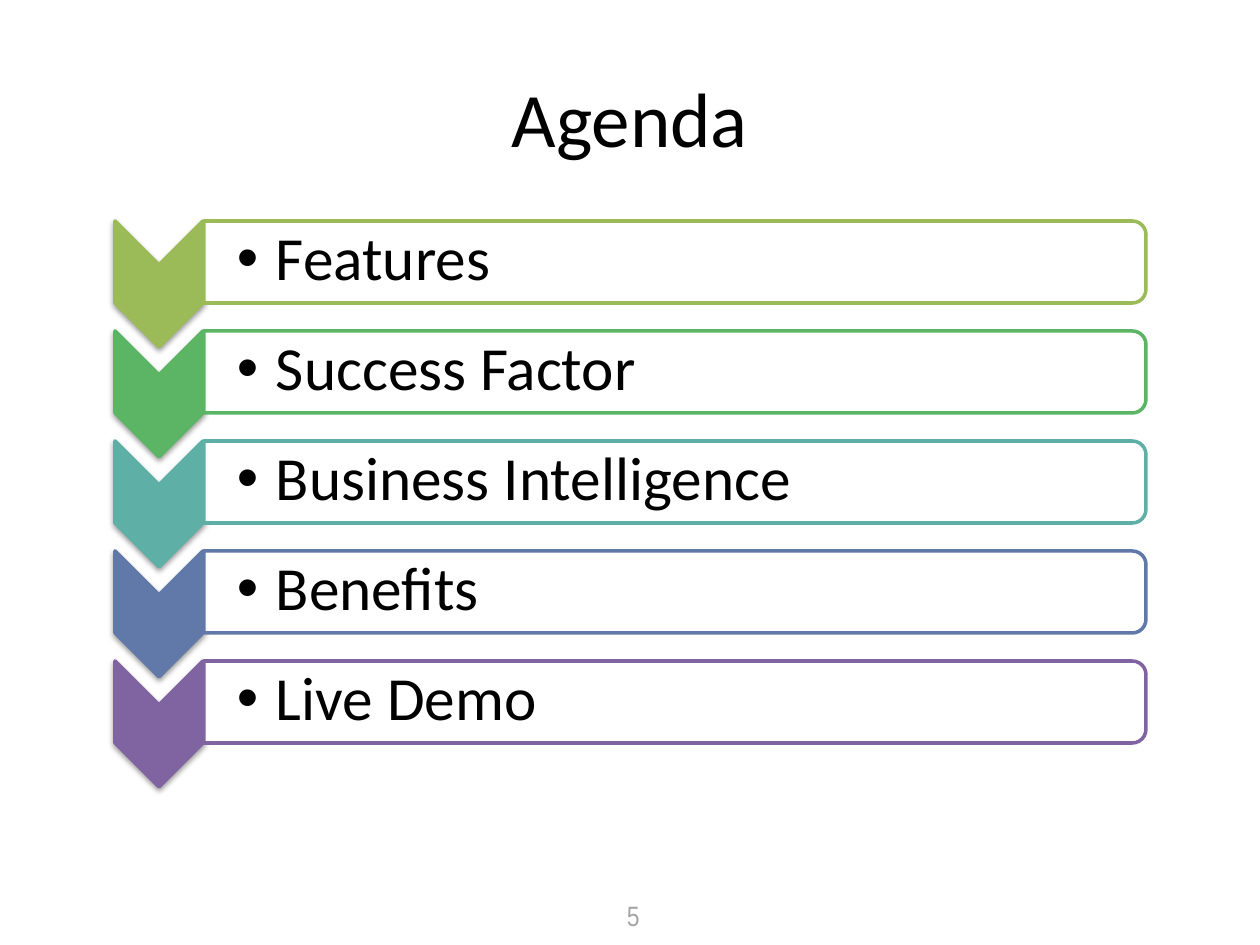
"""Build an agenda slide: five coloured chevrons, each leading into a bulleted bar."""
from dataclasses import dataclass

from lxml import etree
from pptx import Presentation
from pptx.dml.color import RGBColor
from pptx.enum.shapes import MSO_SHAPE
from pptx.enum.text import MSO_ANCHOR, PP_ALIGN
from pptx.oxml.ns import qn
from pptx.util import Emu, Pt

CHEVRON, BAR = MSO_SHAPE.CHEVRON, MSO_SHAPE.ROUND_2_SAME_RECTANGLE
TOP, MIDDLE = MSO_ANCHOR.TOP, MSO_ANCHOR.MIDDLE
LEFT, CENTER = PP_ALIGN.LEFT, PP_ALIGN.CENTER

TITLE = "Agenda"
PAGE_NUMBER = " 5"
TOPICS = [
    ("Features", "9BBB59"),
    ("Success Factor", "5CB565"),
    ("Business Intelligence", "5EAFA6"),
    ("Benefits", "6179A8"),
    ("Live Demo", "8064A2"),
]


@dataclass(frozen=True)
class Theme:
    ink: str = "000000"
    paper: str = "FFFFFF"
    muted: str = "A6A6A6"
    body_font: str = "Calibri"
    number_font: str = "Arial Narrow"
    title_size: int = 44
    topic_size: int = 35
    number_size: int = 16
    outline: int = 2


THEME = Theme()
EMU_PER_PX = 914400 // 126
SLIDE_SIZE = (1260, 945)
TITLE_BOX = (63, 38, 1134, 158)
NUMBER_BOX = (0, 892, 1260, 47)
CHEVRON_CENTER, CHEVRON_SIZE = (159, 284), (126, 88)
BAR_CENTER, BAR_SIZE = (675, 262), (82, 942)
TOPIC_BOX = (203, 224, 939, 74)
ROW_PITCH = 110
TOPIC_INSETS = (34, 3, 3, 3)
BULLET_INDENT = 39


def px(length):
    return Emu(length * EMU_PER_PX)


def add_text(slide, box, text, font, size, color, align=CENTER, anchor=TOP):
    frame = slide.shapes.add_textbox(*map(px, box)).text_frame
    frame.word_wrap, frame.vertical_anchor = True, anchor
    paragraph = frame.paragraphs[0]
    paragraph.alignment = align
    run = paragraph.add_run()
    run.text = text
    for name, value in {"name": font, "size": Pt(size)}.items():
        setattr(run.font, name, value)
    run.font.color.rgb = RGBColor.from_string(color)
    return frame


def add_turned_shape(slide, kind, center, size, fill, line):
    (x, y), (width, height) = center, size
    box = (x - width // 2, y - height // 2, width, height)
    shape = slide.shapes.add_shape(kind, *map(px, box))
    shape.rotation = 90
    shape.shadow.inherit = False
    shape.fill.solid()
    shape.fill.fore_color.rgb = RGBColor.from_string(fill)
    shape.line.color.rgb = RGBColor.from_string(line)
    shape.line.width = Pt(THEME.outline)
    return shape


def set_alpha(color, percent):
    etree.SubElement(color, qn("a:alpha"), val=str(percent * 1000))


def add_shadow(shape):
    effects = shape._element.spPr.find(qn("a:effectLst"))
    shadow = etree.SubElement(effects, qn("a:outerShdw"), blurRad="40000",
                              dist="20000", dir="5400000", rotWithShape="0")
    set_alpha(etree.SubElement(shadow, qn("a:srgbClr"), val=THEME.ink), 38)


def add_bullet(frame):
    paragraph = frame.paragraphs[0]
    paragraph.line_spacing, paragraph.space_after = 0.9, Pt(5)
    properties = paragraph._p.get_or_add_pPr()
    properties.set("marL", str(px(BULLET_INDENT)))
    properties.set("indent", str(-px(BULLET_INDENT)))
    etree.SubElement(properties, qn("a:buFont"), typeface="Arial")
    etree.SubElement(properties, qn("a:buChar"), char="•")


def add_topic(slide, row, topic, color):
    drop = row * ROW_PITCH

    def lowered(point):
        return point[0], point[1] + drop

    chevron = add_turned_shape(slide, CHEVRON, lowered(CHEVRON_CENTER),
                               CHEVRON_SIZE, color, color)
    add_shadow(chevron)
    bar = add_turned_shape(slide, BAR, lowered(BAR_CENTER), BAR_SIZE,
                           THEME.paper, color)
    bar_fill = bar._element.spPr.find(qn("a:solidFill"))
    set_alpha(bar_fill.find(qn("a:srgbClr")), 90)
    frame = add_text(slide, (*lowered(TOPIC_BOX), *TOPIC_BOX[2:]), topic,
                     THEME.body_font, THEME.topic_size, THEME.ink, LEFT, MIDDLE)
    for side, inset in zip(("left", "top", "right", "bottom"), TOPIC_INSETS):
        setattr(frame, f"margin_{side}", px(inset))
    add_bullet(frame)


def main():
    deck = Presentation()
    deck.slide_width, deck.slide_height = map(px, SLIDE_SIZE)
    slide = deck.slides.add_slide(deck.slide_layouts[6])
    add_text(slide, TITLE_BOX, TITLE, THEME.body_font, THEME.title_size,
             THEME.ink, anchor=MIDDLE)
    add_text(slide, NUMBER_BOX, PAGE_NUMBER, THEME.number_font,
             THEME.number_size, THEME.muted)
    for row, (topic, color) in enumerate(TOPICS):
        add_topic(slide, row, topic, color)
    deck.save("out.pptx")


if __name__ == "__main__":
    main()
